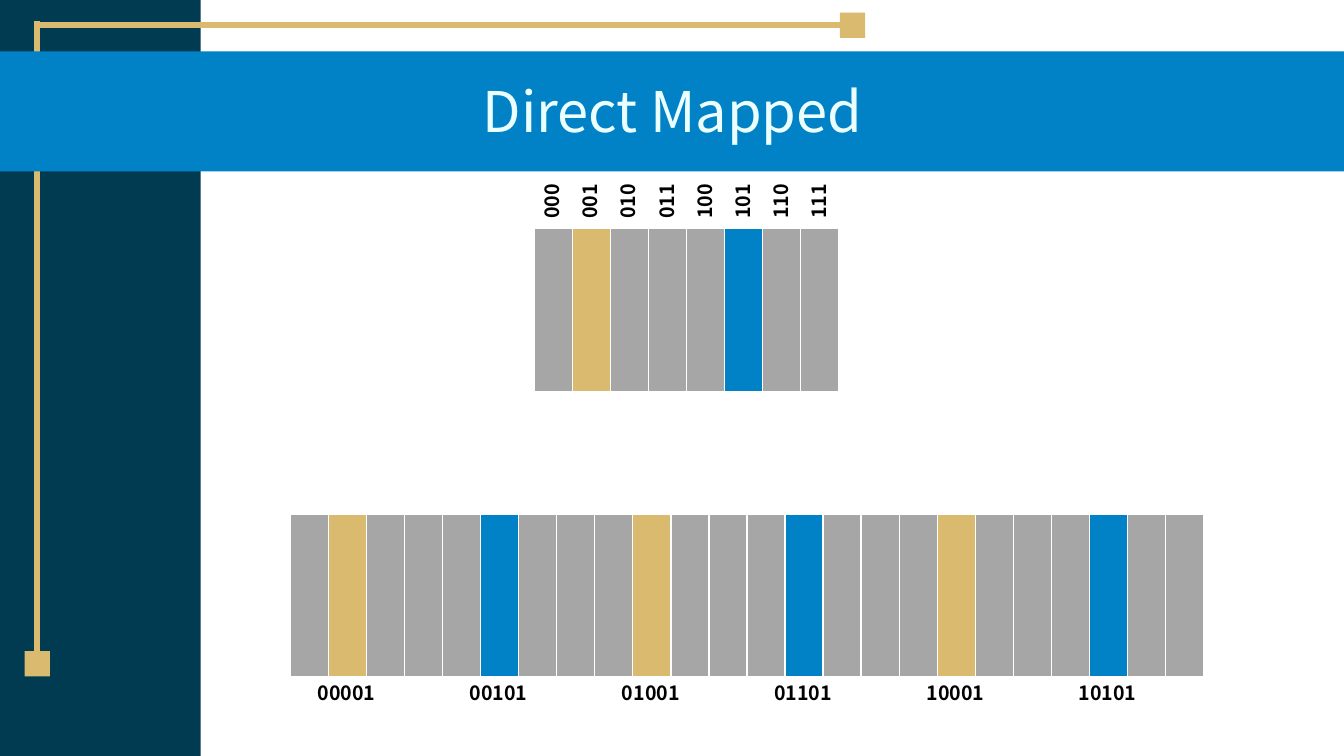
"""Builds the Direct Mapped cache slide."""
import pptx
import pptx.util
import pptx.dml.color
import pptx.enum.shapes
import pptx.enum.text
import pptx.oxml
import pptx.oxml.ns
from lxml import etree

WIDTH, HEIGHT = 13.33, 7.5
FONT = "Noto Sans CJK KR"
NAVY, GOLD, BLUE, GREY, WHITE = "013B51", "DABA6F", "0182C6", "A6A6A6", "FFFFFF"
TITLE = "Direct Mapped"
LINES = 8
BLOCK_FILLS = {1: GOLD, 5: BLUE}
CACHE_LABELS = [f"{line:03b}" for line in range(LINES)]
MEMORY_BLOCKS = 3
MEMORY_LABELS = {n: f"{n:05b}" for n in range(MEMORY_BLOCKS * LINES) if n % LINES in BLOCK_FILLS}

BLOCK_W, BLOCK_H = 3.02, 1.61
COLUMN_W = BLOCK_W / LINES
CACHE_LEFT, CACHE_TOP = 5.3, 2.27
MEMORY_LEFT, MEMORY_TOP = 2.88, 5.1
LABEL_W, LABEL_H = 0.82, 0.34
SQUARE, RAIL_X, RAIL_Y = 0.25, 0.37, 0.25

Inches, Pt = pptx.util.Inches, pptx.util.Pt
ALIGN = pptx.enum.text.PP_ALIGN
ANCHOR = pptx.enum.text.MSO_ANCHOR


def rgb(color):
    """Turn a hex string into a colour."""
    return pptx.dml.color.RGBColor.from_string(color)


def box(*place):
    """Convert lengths in inches."""
    return [Inches(v) for v in place]


def add_rect(s, color, *place):
    """Add a plain filled rectangle."""
    sp = s.shapes.add_shape(pptx.enum.shapes.MSO_SHAPE.RECTANGLE, *box(*place))
    sp.shadow.inherit = False
    sp.fill.solid()
    sp.fill.fore_color.rgb = rgb(color)
    sp.line.fill.background()
    return sp


def add_rail(s, square, site, *ends):
    """Add a gold line that starts at a side of a square."""
    line = s.shapes.add_connector(pptx.enum.shapes.MSO_CONNECTOR.STRAIGHT, *box(*ends))
    line.begin_connect(square, site)
    line.line.color.rgb = rgb(GOLD)
    line.line.width = Pt(4.5)
    etree.SubElement(line._element.spPr, pptx.oxml.ns.qn("a:effectLst"))


def add_text(s, text, place, size=14, color="000000", bold=True, align=ALIGN.LEFT,
             anchor=ANCHOR.TOP, rotation=0, spacing=1.0, grow=True):
    """Add a text box with one formatted run."""
    sp = s.shapes.add_textbox(*box(*place))
    sp.rotation = rotation
    tf = sp.text_frame
    tf.word_wrap = True
    tf.vertical_anchor = anchor
    if grow:
        tf.auto_size = pptx.enum.text.MSO_AUTO_SIZE.SHAPE_TO_FIT_TEXT
    p = tf.paragraphs[0]
    p.alignment = align
    p.line_spacing = spacing
    r = p.add_run()
    r.text = text
    r.font.name = FONT
    r.font.size = Pt(size)
    r.font.bold = bold
    r.font.color.rgb = rgb(color)


def add_block(s, left, top):
    """Add a one-row table of cache lines with white borders."""
    table = s.shapes.add_table(1, LINES, *box(left, top, BLOCK_W, BLOCK_H)).table
    table.first_row = table.horz_banding = False
    for i, cell in enumerate(table.rows[0].cells):
        table.columns[i].width = Inches(COLUMN_W)
        tc_pr = cell._tc.get_or_add_tcPr()
        for side in "LRTB":
            tc_pr.append(pptx.oxml.parse_xml(
                f'<a:ln{side} {pptx.oxml.ns.nsdecls("a")} w="12700"><a:solidFill>'
                f'<a:srgbClr val="{WHITE}"/></a:solidFill></a:ln{side}>'))
        cell.fill.solid()
        cell.fill.fore_color.rgb = rgb(BLOCK_FILLS.get(i, GREY))


def label_left(block_left, column):
    """Centre a label on a column."""
    return block_left + (column + 0.5) * COLUMN_W - LABEL_W / 2 - 0.01


def main():
    """Draw the slide and save it."""
    prs = pptx.Presentation()
    prs.slide_width, prs.slide_height = box(WIDTH, HEIGHT)
    s = prs.slides.add_slide(prs.slide_layouts[6])

    add_rect(s, NAVY, 0, 0, 1.99, HEIGHT)
    right = add_rect(s, GOLD, 8.33, RAIL_Y - SQUARE / 2, SQUARE, SQUARE)
    low = add_rect(s, GOLD, RAIL_X - SQUARE / 2, 6.46, SQUARE, SQUARE)
    add_rail(s, low, 0, RAIL_X, 6.46, RAIL_X, 0.21)
    add_rail(s, right, 1, 8.33, RAIL_Y, RAIL_X, RAIL_Y)
    add_rect(s, BLUE, 0, 0.51, WIDTH, 1.19)
    add_text(s, TITLE, (0.1, 0.66, 13.14, 0.82), size=40, color="EBFFFF", bold=False,
             align=ALIGN.CENTER, anchor=ANCHOR.BOTTOM, spacing=0.9, grow=False)

    add_block(s, CACHE_LEFT, CACHE_TOP)
    for block in range(MEMORY_BLOCKS):
        add_block(s, MEMORY_LEFT + block * BLOCK_W, MEMORY_TOP)

    cache_label_top = CACHE_TOP - (LABEL_W + LABEL_H) / 2
    for i, text in enumerate(CACHE_LABELS):
        add_text(s, text, (label_left(CACHE_LEFT, i), cache_label_top, LABEL_W, LABEL_H),
                 rotation=270)
    for i, text in MEMORY_LABELS.items():
        add_text(s, text, (label_left(MEMORY_LEFT, i), MEMORY_TOP + BLOCK_H, LABEL_W, LABEL_H),
                 align=ALIGN.CENTER)
    prs.save("out.pptx")


if __name__ == "__main__":
    main()
